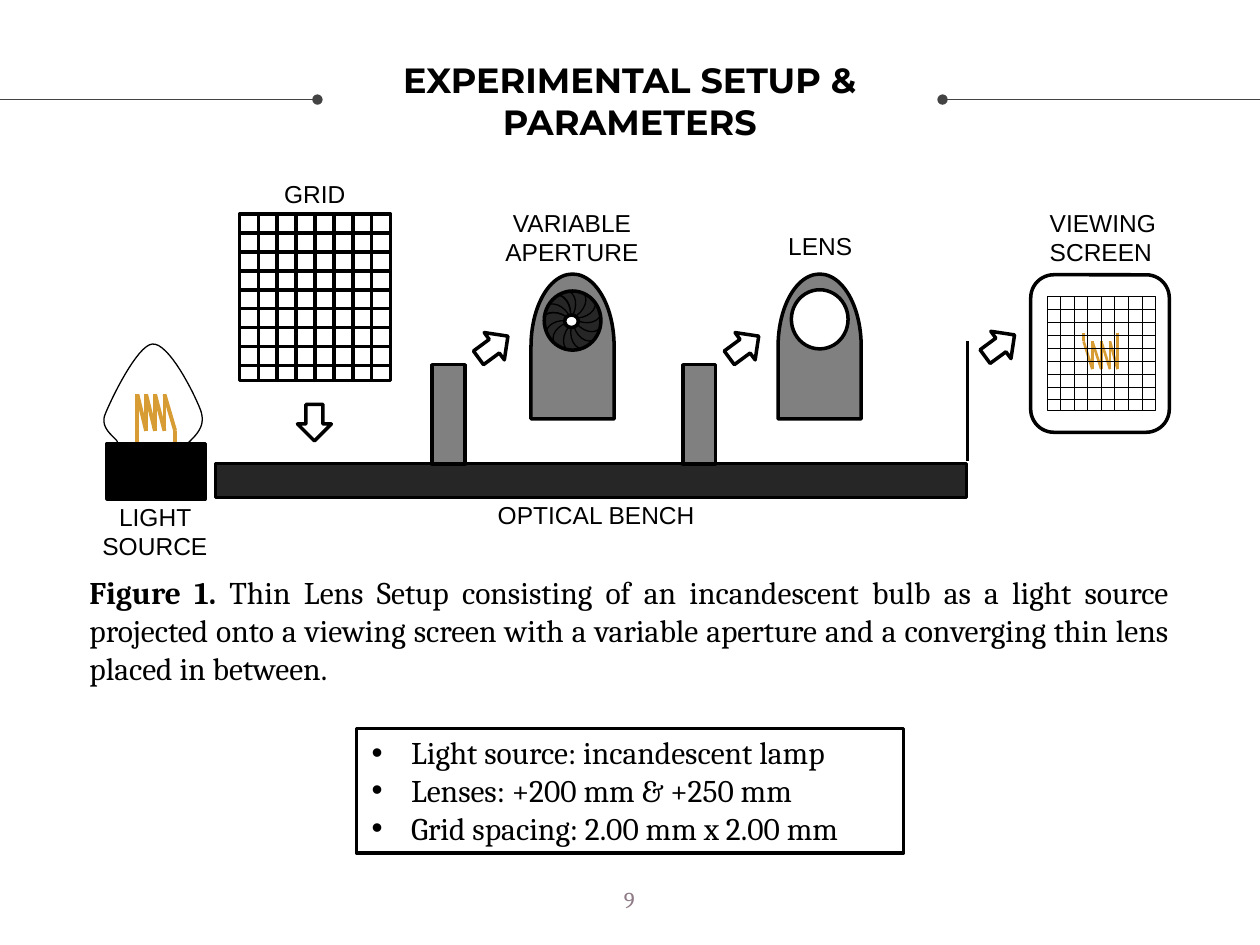
import pptx
import pptx.dml.color
import pptx.enum.shapes
import pptx.enum.text
import pptx.oxml.ns
import pptx.util
from dataclasses import dataclass
from lxml import etree

Pt = pptx.util.Pt
Shape = pptx.enum.shapes.MSO_SHAPE
Align = pptx.enum.text.PP_ALIGN
Anchor = pptx.enum.text.MSO_ANCHOR
AutoSize = pptx.enum.text.MSO_AUTO_SIZE
qn = pptx.oxml.ns.qn

BLACK, WHITE, DARK, GREY = "000000", "FFFFFF", "262626", "808080"
GLOW, RULE, NUMBER = "D79D34", "434343", "8F7B87"


@dataclass
class Piece:
    kind: Shape
    left: float
    top: float
    width: float
    height: float
    fill: str | None = None
    rotation: float = 0
    weight: float = 2
    start: float | None = None


@dataclass
class Label:
    text: str
    left: float
    top: float
    width: float
    height: float
    align: Align = Align.CENTER


@dataclass
class Mesh:
    """A ruled rectangle, eight columns wide."""
    left: float
    top: float
    height: float
    column: float
    row: float
    weight: float
    fill: str | None = None


@dataclass
class Filament:
    columns: tuple[float, ...]
    end: float
    first: float
    second: float
    weight: float


def colour(value: str) -> pptx.dml.color.RGBColor:
    return pptx.dml.color.RGBColor.from_string(value)


def outline(item, weight: float, hex_colour: str = BLACK) -> None:
    item.line.color.rgb = colour(hex_colour)
    item.line.width = Pt(weight)


def add_piece(page, piece: Piece):
    shape = page.shapes.add_shape(piece.kind, Pt(piece.left), Pt(piece.top),
                                  Pt(piece.width), Pt(piece.height))
    shape.shadow.inherit = False
    shape.rotation = piece.rotation
    if piece.fill:
        shape.fill.solid()
        shape.fill.fore_color.rgb = colour(piece.fill)
    else:
        shape.fill.background()
    outline(shape, piece.weight)
    if piece.start is not None:
        shape.adjustments[0] = piece.start
    return shape


def add_line(page, start, end, weight: float, hex_colour: str = BLACK, oval: bool = False):
    line = page.shapes.add_connector(pptx.enum.shapes.MSO_CONNECTOR.STRAIGHT,
                                     Pt(start[0]), Pt(start[1]), Pt(end[0]), Pt(end[1]))
    outline(line, weight, hex_colour)
    if oval:
        etree.SubElement(line.line._get_or_add_ln(), qn("a:headEnd"), type="oval")
    etree.SubElement(line._element.spPr, qn("a:effectLst"))
    return line


def add_text(page, paragraphs, left, top, width, height, *, size, font, hex_colour=BLACK,
             bold=False, align=Align.LEFT, anchor=Anchor.TOP, inset=0, wrap=True,
             grow=True, bullet_indent=0) -> None:
    """Each paragraph is a list of strings; bold applies to the first one."""
    box = page.shapes.add_textbox(Pt(left), Pt(top), Pt(width), Pt(height))
    frame = box.text_frame
    frame.word_wrap = wrap
    frame.auto_size = AutoSize.SHAPE_TO_FIT_TEXT if grow else AutoSize.NONE
    frame.vertical_anchor = anchor
    frame.margin_left = frame.margin_right = Pt(inset)
    frame.margin_top = frame.margin_bottom = Pt(inset)
    for index, texts in enumerate(paragraphs):
        para = frame.add_paragraph() if index else frame.paragraphs[0]
        para.alignment = align
        for order, text in enumerate(texts):
            span = para.add_run()
            span.text = text
            span.font.size = Pt(size)
            span.font.name = font
            span.font.bold = bold and order == 0
            span.font.color.rgb = colour(hex_colour)
        if bullet_indent:
            properties = para._p.get_or_add_pPr()
            properties.set("marL", str(Pt(bullet_indent)))
            properties.set("indent", str(-Pt(bullet_indent)))
            etree.SubElement(properties, qn("a:buFont"), typeface="Arial")
            etree.SubElement(properties, qn("a:buChar"), char="•")


def add_mesh(page, mesh: Mesh) -> None:
    right, bottom = mesh.left + 8 * mesh.column, mesh.top + mesh.height
    frame = add_piece(page, Piece(Shape.RECTANGLE, mesh.left, mesh.top, 8 * mesh.column,
                                  mesh.height, mesh.fill, weight=mesh.weight))
    for index in range(1, 8):
        x = mesh.left + index * mesh.column
        line = add_line(page, (x, mesh.top), (x, bottom), mesh.weight)
        if index == 4:
            line.begin_connect(frame, 0)
            line.end_connect(frame, 2)
    for index in range(1, 9):
        y = mesh.top + index * mesh.row
        add_line(page, (mesh.left, y), (right, y), mesh.weight)


def add_filament(page, filament: Filament) -> None:
    xs = [x for x in filament.columns for _ in range(2)]
    ys = [filament.end, *[filament.first, filament.second] * 4, filament.end]
    points = list(zip(xs, ys))
    for start, end in zip(points, points[1:]):
        add_line(page, start, end, filament.weight, GLOW)


def add_bulb(page, start, curves, steps: int = 16) -> None:
    """Draw the open glass outline from cubic curves."""
    points = []
    origin = start
    for one, two, end in curves:
        for step in range(1, steps + 1):
            t = step / steps
            points.append(tuple(
                Pt((1 - t) ** 3 * a + 3 * t * (1 - t) ** 2 * b + 3 * t * t * (1 - t) * c + t ** 3 * d)
                for a, b, c, d in zip(origin, one, two, end)))
        origin = end
    builder = page.shapes.build_freeform(Pt(start[0]), Pt(start[1]))
    builder.add_line_segments(points, close=False)
    glass = builder.convert_to_shape()
    glass.shadow.inherit = False
    glass.fill.background()
    outline(glass, 0.75)


BULB_CURVES = [
    ((112.3, 248.4), (118.1, 243.4), (114.5, 234)),
    ((110.9, 224.6), (96.5, 195.8), (87.1, 196.6)),
    ((78.5, 197.3), (63.4, 228.2), (59.8, 237.6)),
    ((56.9, 247), (70.6, 252), (66.2, 253.4)),
]
BENCH = [
    Piece(Shape.ROUNDED_RECTANGLE, 589, 157, 79.2, 90, WHITE),
    Piece(Shape.RECTANGLE, 123.1, 265, 429.1, 19.4, DARK),
    Piece(Shape.RECTANGLE, 61.2, 253.4, 56.2, 31.7, BLACK),
    *[Piece(Shape.RECTANGLE, left, 208.4, 18.7, 56.9, GREY) for left in (247, 390.2)],
    *[Piece(Shape.FLOWCHART_DELAY, left, 174.2, 82.8, 47.5, GREY, 270) for left in (285.8, 427)],
    Piece(Shape.OVAL, 452.2, 165.6, 32.4, 33.8, WHITE),
    Piece(Shape.OVAL, 311, 166.3, 32.4, 33.8, DARK),
    Piece(Shape.OVAL, 322.6, 180, 7.9, 7.2, WHITE),
]
ARROWS = [(271.4, 188.6, 323.6), (414.7, 188.6, 323.6), (560.9, 187.9, 323.6), (169.2, 231.8, 90)]
# Left, top, rotation and, where it differs, start angle of each aperture blade
BLADES = [
    (311, 168.5, 0, None), (313.2, 165.6, 24.5, None), (317.5, 163.4, 53.1, None),
    (321.8, 163.4, 85.8, None), (325.4, 165.6, 110.3, None), (327.6, 169.2, 138.9, None),
    (327.6, 173.5, 162.9, None), (326.2, 177.8, 187.5, None), (323.3, 180.7, 216.1, None),
    (319, 180.7, 250.4, None), (315.4, 180, 274.9, 165.7), (311.8, 176.4, 303.5, None),
    (311.8, 176.4, 301.6, 169.11), (311, 172.8, 326.2, 169.55), (311, 168.5, 354.8, 167.38),
]
LABELS = [
    Label("LIGHT SOURCE", 51.1, 286.6, 74.9, 33.8),
    Label("OPTICAL BENCH", 284.4, 285.8, 123.8, 17.3, Align.LEFT),
    Label("LENS", 448.6, 131.8, 40.3, 17.3),
    Label("VIEWING SCREEN", 599.8, 118.8, 66.2, 33.8, Align.LEFT),
    Label("VARIABLE APERTURE", 287.3, 118.8, 79.2, 33.8),
    Label("GRID", 159.8, 102.2, 40.3, 17.3),
]


def main() -> None:
    deck = pptx.Presentation()
    deck.slide_width, deck.slide_height = Pt(720), Pt(540)
    page = deck.slides.add_slide(deck.slide_layouts[6])

    for inner, outer in ((181.4, 0), (538.6, 720)):
        add_line(page, (inner, 56.9), (outer, 56.9), 0.75, RULE, oval=True)
    add_text(page, [["EXPERIMENTAL SETUP & PARAMETERS"]], 206.6, 12.2, 306.7, 90, size=20,
             font="Montserrat", bold=True, align=Align.CENTER, anchor=Anchor.MIDDLE,
             inset=7.2, grow=False)

    add_bulb(page, (107.3, 253.4), BULB_CURVES)
    add_filament(page, Filament((78.5, 83.5, 88.6, 94, 100.1), 253.4, 225.4, 246.2, 2.25))
    for piece in BENCH:
        add_piece(page, piece)
    for left, top, rotation, start in BLADES:
        add_piece(page, Piece(Shape.ARC, left, top, 15.1, 21.6, None, rotation, 0.75, start))
    for left, top, rotation in ARROWS:
        add_piece(page, Piece(Shape.RIGHT_ARROW, left, top, 20.9, 19.4, WHITE, rotation))
    add_line(page, (553, 195.1), (553, 263.5), 2)
    add_mesh(page, Mesh(136.8, 122.4, 95, 10.8, 10.8, 2, WHITE))
    add_filament(page, Filament((638.6, 634.3, 629.3, 624.2, 619.2), 190.1, 211, 195.1, 1.5))
    add_mesh(page, Mesh(598.3, 169.2, 65.5, 7.74, 7.4, 0.25))
    for label in LABELS:
        add_text(page, [[label.text]], label.left, label.top, label.width, label.height,
                 size=14, font="Arial", align=label.align)

    add_text(page, [["Figure 1. ", "Thin Lens Setup consisting of an incandescent bulb as a light "
                     "source projected onto a viewing screen with a variable aperture and a "
                     "converging thin lens placed in between."]],
             51.1, 327.6, 617, 65.5, size=18, font="Cambria", bold=True, align=Align.JUSTIFY)
    add_text(page, [["Light source: incandescent lamp"], ["Lenses: +200 mm & +250 mm"],
                    ["Grid spacing: 2.00 mm x 2.00 mm"]],
             212.4, 419, 295.2, 87.1, size=18, font="Cambria", bullet_indent=22.5)
    add_piece(page, Piece(Shape.RECTANGLE, 203.8, 416.2, 312.5, 71.3))
    add_text(page, [["9"]], 348.5, 499, 22.3, 31.7, size=13, font="Cambria", hex_colour=NUMBER,
             align=Align.CENTER, inset=7.2, wrap=False)
    deck.save("out.pptx")


if __name__ == "__main__":
    main()
